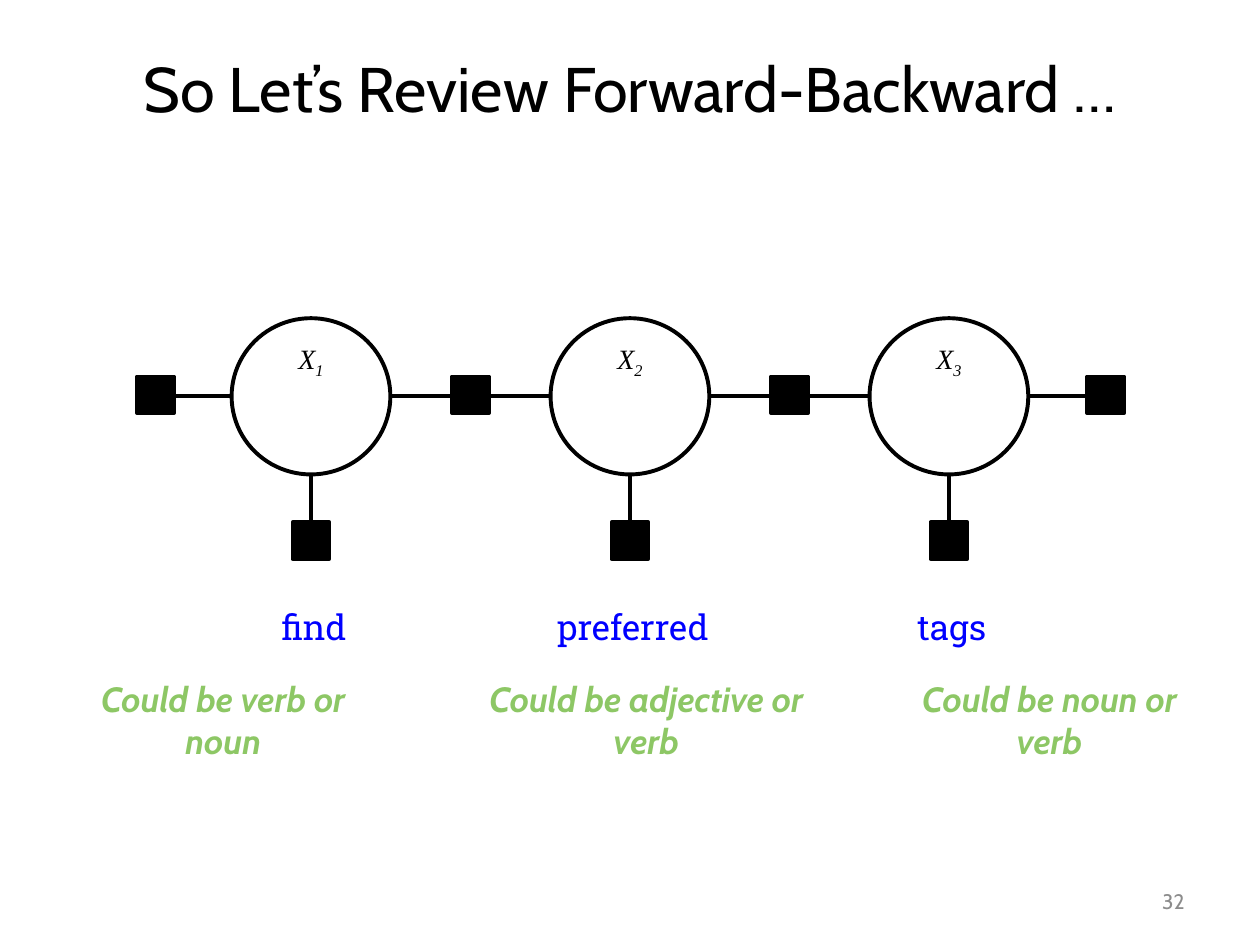
import dataclasses

import lxml.etree
import pptx
import pptx.dml.color
import pptx.enum.shapes
import pptx.enum.text
import pptx.oxml.ns
import pptx.util

Cm = pptx.util.Cm
Shape = pptx.enum.shapes.MSO_SHAPE
Align = pptx.enum.text.PP_ALIGN
Anchor = pptx.enum.text.MSO_ANCHOR


@dataclasses.dataclass(frozen=True)
class Theme:
    ink: str = "000000"
    paper: str = "FFFFFF"
    word: str = "0000FF"
    hint: str = "8DC765"
    number: str = "8C8C8C"
    sans: str = "Cabin"
    slab: str = "Roboto Slab"
    serif: str = "Times New Roman"
    title_size: int = 36
    label_size: int = 20
    node_size: int = 16
    number_size: int = 12
    line: float = 2.25


THEME = Theme()
NODE_W, NODE_H, FACTOR = 3.2, 3.15, 0.74
CHAIN_Y, EVIDENCE_Y = 7.99, 10.9
FIRST_X, PITCH = 6.27, 6.43
RIGHT_END_X = 22.29
WORD_SHIFT = 0.06
COLUMNS = [
    ("find", 2.18, "Could be verb or noun", 4.5, 6.6, False),
    ("preferred", 3.84, "Could be adjective or verb", 13.03, 7.6, True),
    ("tags", 2.95, "Could be noun or verb", 21.16, 6.6, False),
]


def rgb(value):
    """Turn a hex string into a colour."""
    return pptx.dml.color.RGBColor.from_string(value)


def add_run(p, text, font, size, color, bold=False, italic=False):
    """Append a formatted run to a paragraph."""
    r = p.add_run()
    r.text = text
    r.font.name, r.font.size = font, pptx.util.Pt(size)
    r.font.bold, r.font.italic = bold, italic
    r.font.color.rgb = rgb(color)
    return r


def clear_insets(tf):
    """Remove the inner margins of a text frame."""
    tf.margin_left = tf.margin_right = tf.margin_top = tf.margin_bottom = 0


def add_text(s, box, text, font, size, color, align=Align.CENTER,
             anchor=Anchor.MIDDLE, wrap=True):
    """Add a text box and return its frame and run."""
    tf = s.shapes.add_textbox(*map(Cm, box)).text_frame
    tf.word_wrap, tf.vertical_anchor = wrap, anchor
    p = tf.paragraphs[0]
    p.alignment = align
    return tf, add_run(p, text, font, size, color)


def add_centred(s, kind, x, y, w, h, fill):
    """Add an outlined shape around a centre point."""
    sp = s.shapes.add_shape(kind, Cm(x - w / 2), Cm(y - h / 2), Cm(w), Cm(h))
    sp.shadow.inherit = False
    sp.fill.solid()
    sp.fill.fore_color.rgb = rgb(fill)
    sp.line.color.rgb = rgb(THEME.ink)
    sp.line.width = pptx.util.Pt(THEME.line)
    return sp


def add_node(s, x, index):
    """Add a variable circle with a subscripted label."""
    sp = add_centred(s, Shape.OVAL, x, CHAIN_Y, NODE_W, NODE_H, THEME.paper)
    tf = sp.text_frame
    clear_insets(tf)
    tf.word_wrap, tf.vertical_anchor = False, Anchor.TOP
    p = tf.paragraphs[0]
    p.alignment = Align.CENTER
    style = (THEME.serif, THEME.node_size, THEME.ink)
    add_run(p, "X", *style, italic=True)
    r = add_run(p, str(index), *style, italic=True)
    r.font._element.set("baseline", "-25000")


def add_factor(s, x, y):
    """Add a black factor square."""
    add_centred(s, Shape.RECTANGLE, x, y, FACTOR, FACTOR, THEME.ink)


def add_edge(s, x1, y1, x2, y2):
    """Add a plain straight edge."""
    kind = pptx.enum.shapes.MSO_CONNECTOR.STRAIGHT
    edge = s.shapes.add_connector(kind, *map(Cm, (x1, y1, x2, y2)))
    edge.line.color.rgb = rgb(THEME.ink)
    edge.line.width = pptx.util.Pt(THEME.line)
    lxml.etree.SubElement(edge._element.spPr, pptx.oxml.ns.qn("a:effectLst"))


def add_chain(s, xs):
    """Draw the variables with their transition and evidence factors."""
    factors = [xs[0] - PITCH / 2 + 0.08]
    factors += [(a + b) / 2 for a, b in zip(xs, xs[1:])] + [RIGHT_END_X]
    starts = [factors[0]] + [x + NODE_W / 2 for x in xs]
    ends = [x - NODE_W / 2 for x in xs] + [factors[-1]]
    for start, end in zip(starts, ends):
        add_edge(s, start, CHAIN_Y, end, CHAIN_Y)
    for x in factors:
        add_factor(s, x, CHAIN_Y - 0.03)
    for index, x in enumerate(xs, 1):
        add_node(s, x, index)
        add_edge(s, x, CHAIN_Y + NODE_H / 2, x, EVIDENCE_Y - FACTOR / 2)
        add_factor(s, x, EVIDENCE_Y)


def add_labels(s, xs):
    """Write each word and its possible tags below the chain."""
    for x, (word, word_w, hint, hint_x, hint_w, wrap) in zip(xs, COLUMNS):
        box = (x + WORD_SHIFT - word_w / 2, 12.12, word_w, 1.02)
        add_text(s, box, word, THEME.slab, THEME.label_size, THEME.word)
        box = (hint_x - hint_w / 2, 13.65, hint_w, 0.86)
        tf, r = add_text(s, box, hint, THEME.sans, THEME.label_size,
                         THEME.hint, anchor=Anchor.TOP, wrap=wrap)
        clear_insets(tf)
        r.font.bold = r.font.italic = True


def main():
    """Build and save the slide."""
    prs = pptx.Presentation()
    prs.slide_width, prs.slide_height = Cm(25.4), Cm(19.05)
    s = prs.slides.add_slide(prs.slide_layouts[6])
    xs = [FIRST_X + PITCH * i for i in range(len(COLUMNS))]
    add_text(s, (1.27, 0.76, 22.86, 2.01), "So Let’s Review Forward-Backward …",
             THEME.sans, THEME.title_size, THEME.ink)
    add_chain(s, xs)
    add_labels(s, xs)
    add_text(s, (18.21, 17.65, 5.92, 1.02), "32", THEME.sans,
             THEME.number_size, THEME.number, align=Align.RIGHT)
    prs.save("out.pptx")


main()
